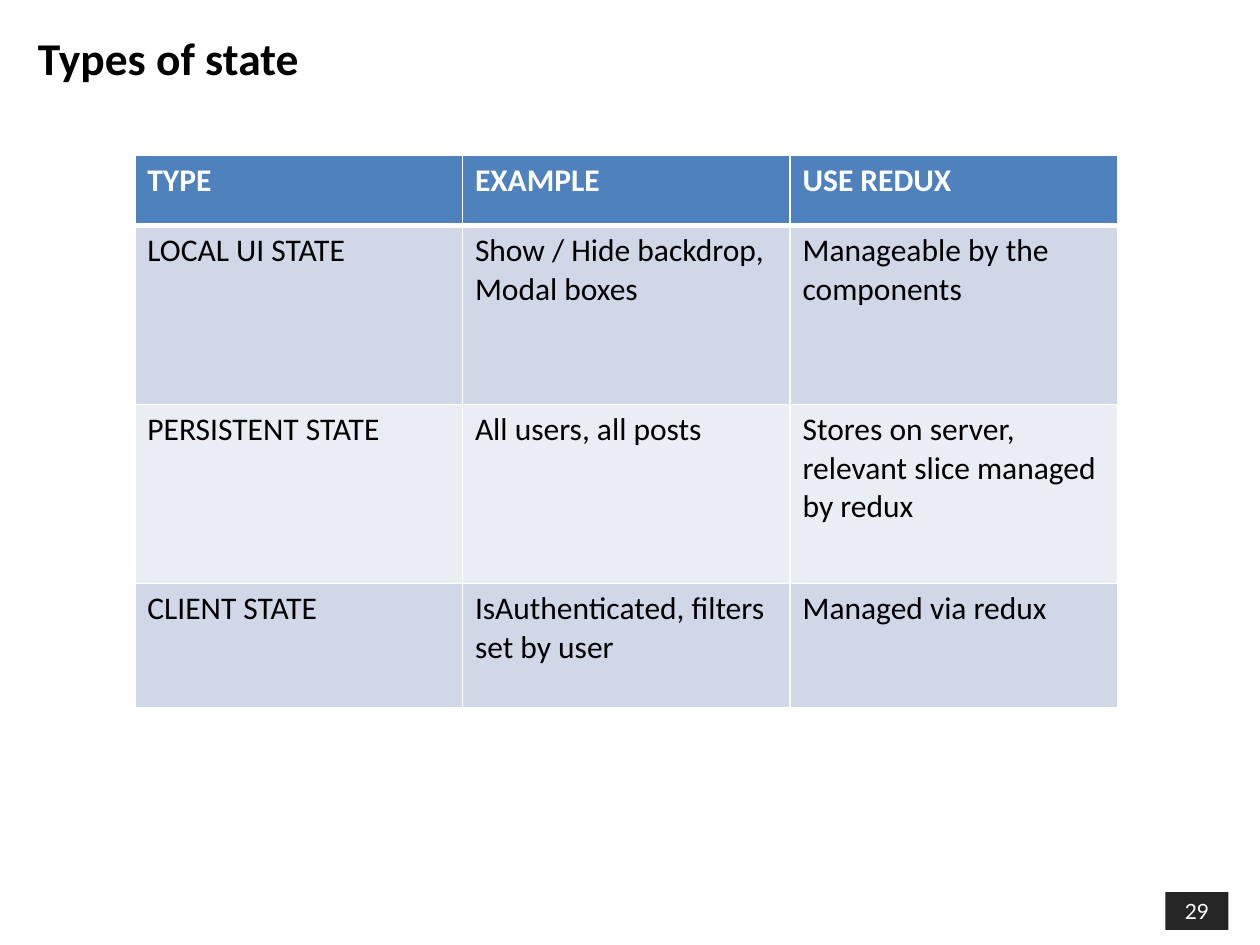
from lxml.etree import SubElement
from pptx import Presentation
from pptx.dml.color import RGBColor
from pptx.enum.shapes import MSO_SHAPE
from pptx.enum.text import MSO_ANCHOR, PP_ALIGN
from pptx.oxml.ns import qn
from pptx.util import Inches, Pt

COLORS = {
    "black": "000000",
    "white": "FFFFFF",
    "badge": "262626",
    "header": "4F81BD",
    "band_dark": "D0D8E8",
    "band_light": "E9EDF4",
}
ROWS = [
    ("TYPE", "EXAMPLE", "USE REDUX"),
    ("LOCAL UI STATE", "Show / Hide backdrop, Modal boxes", "Manageable by the components"),
    ("PERSISTENT STATE", "All users, all posts",
     "Stores on server, relevant slice managed by redux"),
    ("CLIENT STATE", "IsAuthenticated, filters set by user", "Managed via redux"),
]
ROW_HEIGHTS = [0.56, 1.42, 1.42, 0.99]
ROW_FILLS = ["header", "band_dark", "band_light", "band_dark"]


def write(frame, text, color, align=PP_ALIGN.LEFT, **font_format):
    para = frame.paragraphs[0]
    para.alignment = align
    span = para.add_run()
    span.text = text
    span.font.color.rgb = RGBColor.from_string(COLORS[color])
    for name, value in font_format.items():
        setattr(span.font, name, value)


def add_borders(cell, bottom_width, top_width):
    """Draw white lines around a table cell; widths are in points."""
    properties = cell._tc.get_or_add_tcPr()
    for side, width in (("L", 1), ("R", 1), ("T", top_width), ("B", bottom_width)):
        line = SubElement(properties, qn(f"a:ln{side}"), w=str(Pt(width)))
        fill = SubElement(line, qn("a:solidFill"))
        SubElement(fill, qn("a:srgbClr"), val=COLORS["white"])


deck = Presentation()
deck.slide_width, deck.slide_height = Inches(10), Inches(7.5)
page = deck.slides.add_slide(deck.slide_layouts[5])

# Page number badge
badge = page.shapes.add_shape(
    MSO_SHAPE.RECTANGLE, Inches(9.25), Inches(7.08), Inches(0.5), Inches(0.3))
badge.shadow.inherit = False
badge.fill.solid()
badge.fill.fore_color.rgb = RGBColor.from_string(COLORS["badge"])
badge.line.fill.background()
badge.text_frame.vertical_anchor = MSO_ANCHOR.MIDDLE
write(badge.text_frame, "29", "white", PP_ALIGN.CENTER, size=Pt(12), name="Lato")

# Title
title = page.shapes.title
title.left, title.top = Inches(0.2), Inches(0.15)
title.width, title.height = Inches(9.65), Inches(0.61)
title.text_frame.vertical_anchor = MSO_ANCHOR.MIDDLE
write(title.text_frame, "Types of state", "black", size=Pt(26), name="Calibri", bold=True)

# Table of state types
table = page.shapes.add_table(
    len(ROWS), len(ROWS[0]), Inches(1.07), Inches(1.23),
    Inches(7.8), Inches(sum(ROW_HEIGHTS))).table
for column in table.columns:
    column.width = Inches(2.6)
for r, (texts, height, fill) in enumerate(zip(ROWS, ROW_HEIGHTS, ROW_FILLS)):
    table.rows[r].height = Inches(height)
    is_header = r == 0
    for c, text in enumerate(texts):
        cell = table.cell(r, c)
        add_borders(cell, bottom_width=3 if is_header else 1, top_width=3 if r == 1 else 1)
        cell.fill.solid()
        cell.fill.fore_color.rgb = RGBColor.from_string(COLORS[fill])
        write(cell.text_frame, text, "white" if is_header else "black",
              size=Pt(18), name="Calibri", bold=is_header)

deck.save("out.pptx")
